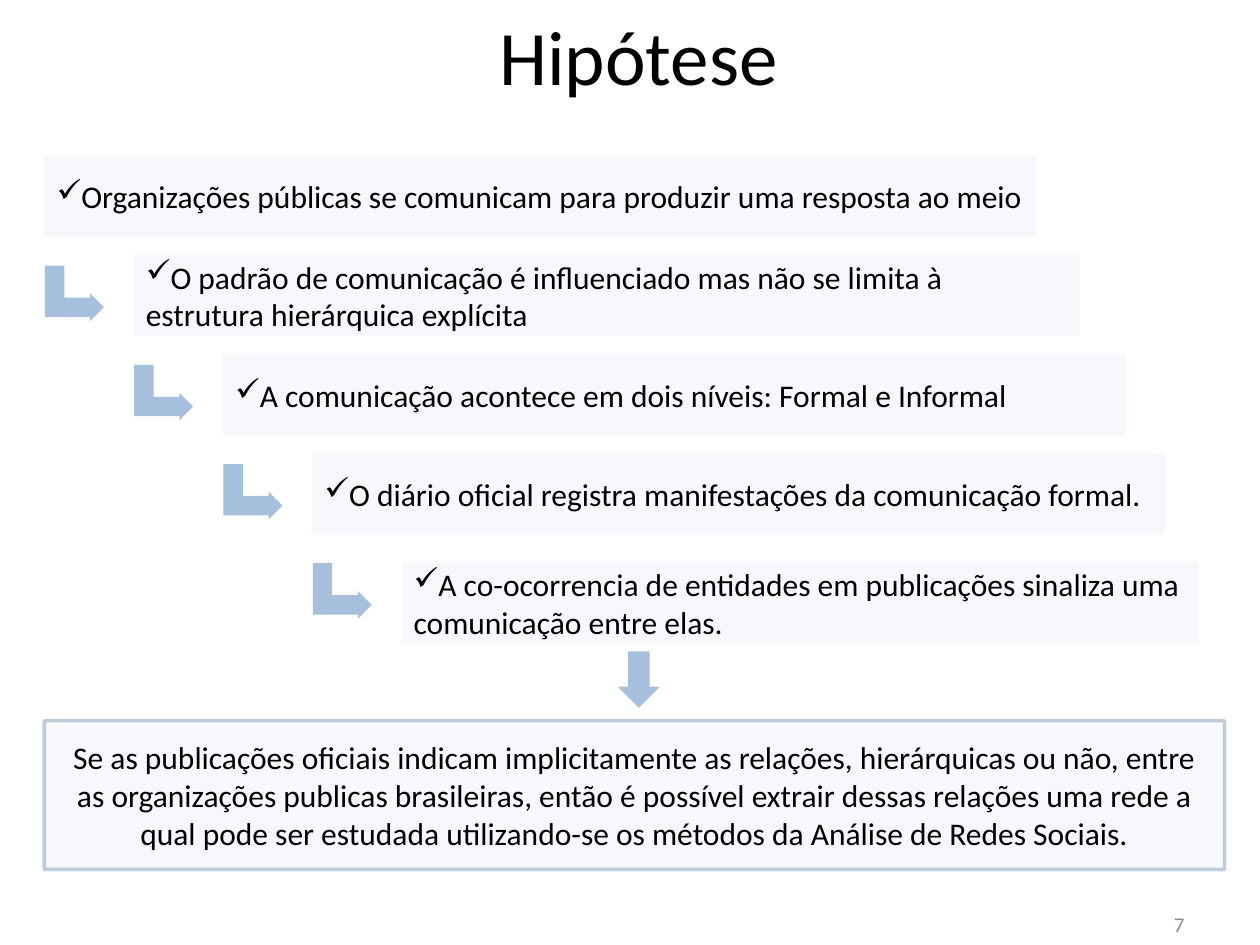
from dataclasses import dataclass

from lxml.etree import SubElement
from pptx import Presentation
from pptx.dml.color import RGBColor
from pptx.enum.shapes import MSO_SHAPE
from pptx.enum.text import MSO_ANCHOR, PP_ALIGN
from pptx.oxml.ns import qn
from pptx.util import Cm, Pt


@dataclass(frozen=True)
class Theme:
    font: str = "Calibri"
    text: str = "000000"
    muted: str = "8C8C8C"
    accent: str = "4F81BD"
    border: str = "3A5F8C"
    title_size: int = 44
    body_size: int = 18
    number_size: int = 12
    panel_alpha: int = 5
    arrow_alpha: int = 50
    border_alpha: int = 30


THEME = Theme()

STEPS = [
    ("Organizações públicas se comunicam para produzir uma resposta ao meio", 20),
    ("O padrão de comunicação é influenciado mas não se limita à "
     "estrutura hierárquica explícita", 19.08),
    ("A comunicação acontece em dois níveis: Formal e Informal", 18.21),
    ("O diário oficial registra manifestações da comunicação formal.", 17.2),
    ("A co-ocorrencia de entidades em publicações sinaliza uma "
     "comunicação entre elas.", 16.08),
]
CONCLUSION = (
    "Se as publicações oficiais indicam implicitamente as relações, hierárquicas "
    "ou não, entre as organizações publicas brasileiras, então é possível extrair "
    "dessas relações uma rede a qual pode ser estudada utilizando-se os métodos "
    "da Análise de Redes Sociais."
)


def set_alpha(fill_props, percent):
    color = fill_props.find(qn("a:solidFill"))[0]
    SubElement(color, qn("a:alpha")).set("val", str(percent * 1000))


def write(sp, text, size, color=THEME.text, align=PP_ALIGN.LEFT):
    tf = sp.text_frame
    tf.text = text
    tf.word_wrap = True
    tf.vertical_anchor = MSO_ANCHOR.MIDDLE
    p = tf.paragraphs[0]
    p.alignment = align
    font = p.runs[0].font
    font.name = THEME.font
    font.size = Pt(size)
    font.color.rgb = RGBColor.from_string(color)
    return p


def add_tinted(s, kind, box, alpha):
    sp = s.shapes.add_shape(kind, *map(Cm, box))
    sp.shadow.inherit = False
    sp.fill.solid()
    sp.fill.fore_color.rgb = RGBColor.from_string(THEME.accent)
    set_alpha(sp.element.spPr, alpha)
    sp.line.fill.background()
    return sp


def add_title(s, box, text):
    sp = s.shapes.title
    sp.left, sp.top, sp.width, sp.height = map(Cm, box)
    write(sp, text, THEME.title_size, align=PP_ALIGN.CENTER)
    sp.text_frame.margin_left = Cm(0.6)


def add_step(s, box, text):
    sp = add_tinted(s, MSO_SHAPE.RECTANGLE, box, THEME.panel_alpha)
    p = write(sp, text, THEME.body_size)
    pPr = p._p.get_or_add_pPr()
    pPr.set("marL", "0")
    pPr.set("indent", "0")
    SubElement(pPr, qn("a:buChar")).set("char", "✓")


def add_turn(s, box):
    sp = add_tinted(s, MSO_SHAPE.BENT_UP_ARROW, box, THEME.arrow_alpha)
    sp.rotation = 90
    for i, value in enumerate((0.35, 0.25, 0.25)):
        sp.adjustments[i] = value


def add_staircase(s, box, steps):
    left, top, run, rise = box
    last = len(steps) - 1
    for i, (text, width) in enumerate(steps):
        x, y = left + i * run, top + i * rise
        drop = 0.2 if i == last else 0
        add_step(s, (x, y + drop, width, 1.65), text)
        if i < last:
            add_turn(s, (x + 0.05, y + 2.19, 1.12, 1.19))


def add_conclusion(s, box, text):
    left, top, width, height = box
    add_tinted(s, MSO_SHAPE.DOWN_ARROW,
               (left + 11.56, top - 1.4, 0.86, 1.14), THEME.arrow_alpha)
    sp = add_tinted(s, MSO_SHAPE.RECTANGLE, box, THEME.panel_alpha)
    sp.line.color.rgb = RGBColor.from_string(THEME.border)
    sp.line.width = Pt(2)
    set_alpha(sp.line._ln, THEME.border_alpha)
    write(sp, text, THEME.body_size, align=PP_ALIGN.CENTER)


def add_page_number(s, box, number):
    sp = s.shapes.add_textbox(*map(Cm, box))
    write(sp, number, THEME.number_size, THEME.muted, PP_ALIGN.RIGHT)


def main():
    prs = Presentation()
    prs.slide_width, prs.slide_height = Cm(25.4), Cm(19.05)
    s = prs.slides.add_slide(prs.slide_layouts[5])
    add_title(s, (1.27, -0.48, 22.86, 3.18), "Hipótese")
    add_staircase(s, (0.89, 3.13, 1.8, 2), STEPS)
    add_conclusion(s, (0.89, 14.53, 23.8, 3), CONCLUSION)
    add_page_number(s, (18.2, 18.11, 5.93, 1.02), "7")
    prs.save("out.pptx")


if __name__ == "__main__":
    main()
